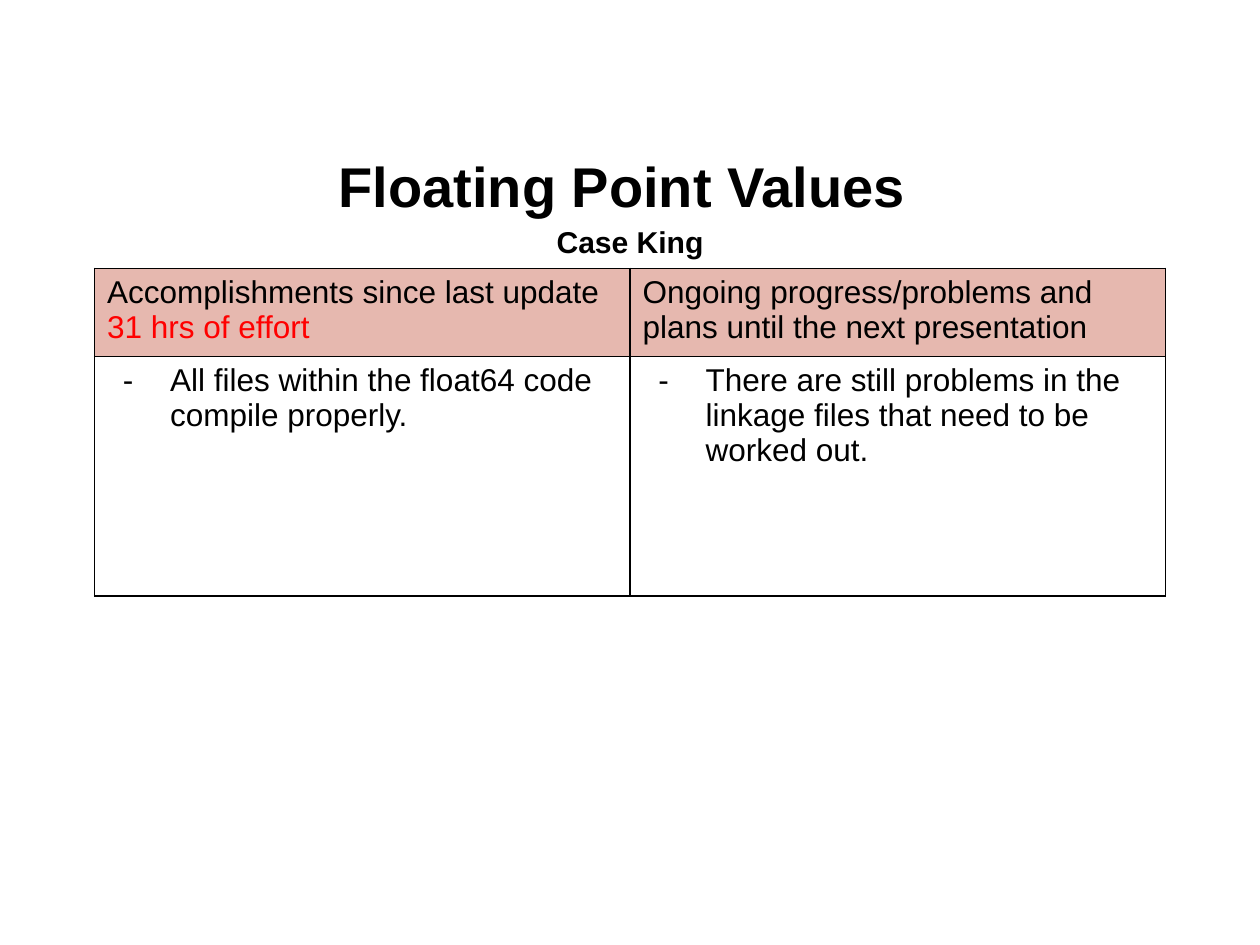
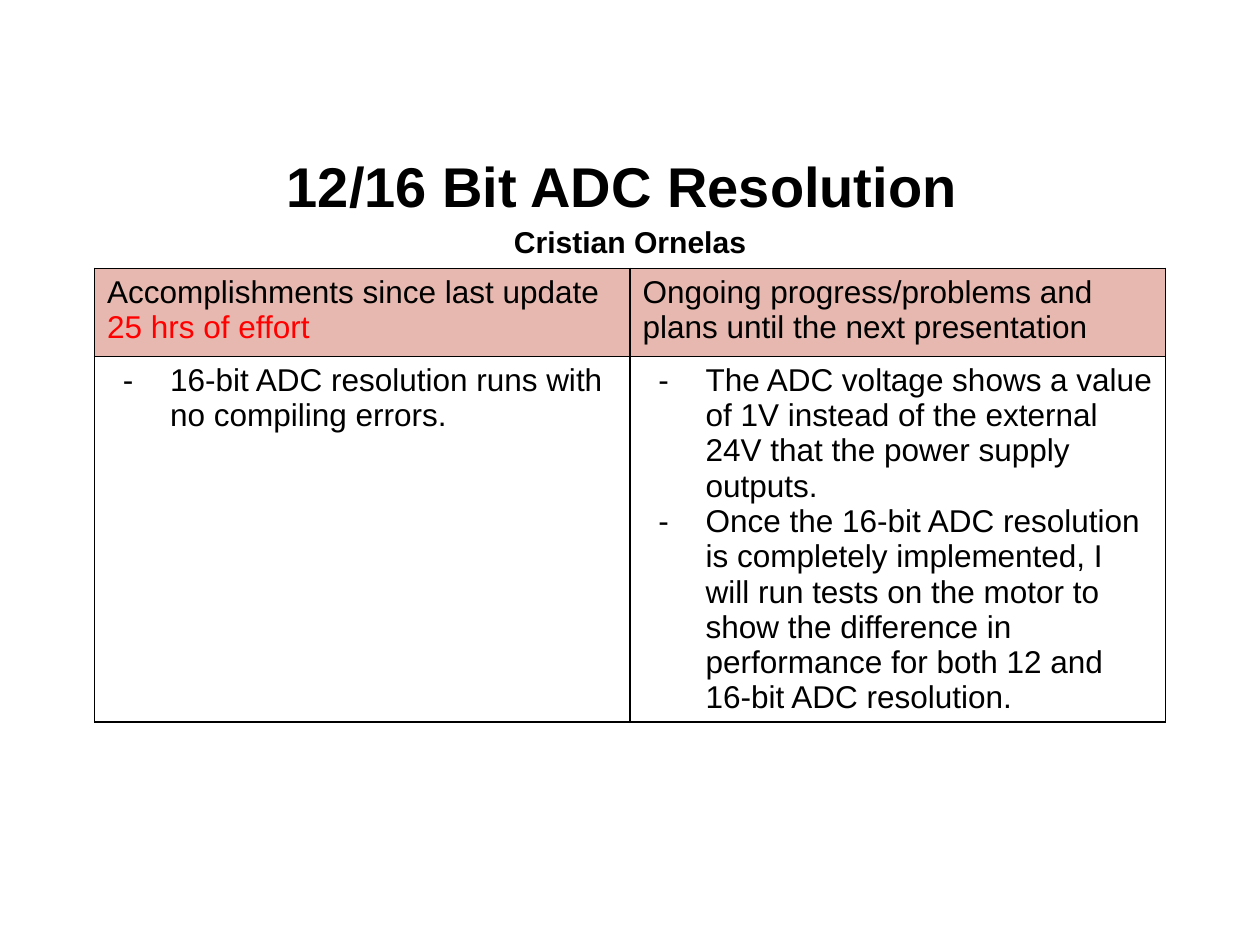
"""Build the two project status slides, each with a title and an update table."""
from dataclasses import dataclass

import pptx
import pptx.dml.color
import pptx.enum.text
import pptx.oxml
import pptx.oxml.ns
import pptx.slide
import pptx.table
import pptx.text.text
import pptx.util

Pt = pptx.util.Pt
RGBColor = pptx.dml.color.RGBColor


@dataclass(frozen=True)
class Theme:
    font: str = "Arial"
    text: str = "000000"
    effort: str = "FF0000"
    header: str = "E6B8AF"
    title_size: float = 32
    presenter_size: float = 17.2
    table_size: float = 18
    border_width: float = 1


@dataclass(frozen=True)
class Update:
    topic: str
    presenter: str
    hours: int
    accomplishments: tuple[str, ...]
    plans: tuple[str, ...]


THEME = Theme()
COLUMN_WIDTH = 306
ROW_HEIGHTS = (50.4, 136.8)
UPDATES = (
    Update(
        "Floating Point Values ", "Case King", 31,
        ("All files within the float64 code compile properly.",),
        ("There are still problems in the linkage files that need to be worked out.",),
    ),
    Update(
        "12/16 Bit ADC Resolution ", "Cristian Ornelas", 25,
        ("16-bit ADC resolution runs with no compiling errors.",),
        ("The ADC voltage shows a value of 1V instead of the external 24V that the "
         "power supply outputs.",
         "Once the 16-bit ADC resolution is completely implemented, I will run tests "
         "on the motor to show the difference in performance for both 12 and 16-bit "
         "ADC resolution."),
    ),
)


def format_font(paragraph: pptx.text.text._Paragraph, size: float, bold: bool = False) -> None:
    font = paragraph.font
    font.name, font.size, font.bold = THEME.font, Pt(size), bold
    font.color.rgb = RGBColor.from_string(THEME.text)


def add_xml(parent: pptx.oxml.xmlchemy.BaseOxmlElement, tag: str, content: str = "",
            attributes: str = "") -> None:
    namespace = pptx.oxml.ns.nsdecls("a")
    parent.append(pptx.oxml.parse_xml(f"<a:{tag} {namespace} {attributes}>{content}</a:{tag}>"))


def solid_colour(colour: str) -> str:
    return f'<a:srgbClr val="{colour}"/>'


def add_borders(cell: pptx.table._Cell) -> None:
    properties = cell._tc.get_or_add_tcPr()
    for side in ("lnL", "lnR", "lnT", "lnB"):
        add_xml(properties, side, f"<a:solidFill>{solid_colour(THEME.text)}</a:solidFill>",
                f'w="{Pt(THEME.border_width)}"')


def fill_header(cell: pptx.table._Cell, heading: str, effort: str = "") -> None:
    add_borders(cell)
    cell.fill.solid()
    cell.fill.fore_color.rgb = RGBColor.from_string(THEME.header)
    paragraph = cell.text_frame.paragraphs[0]
    format_font(paragraph, THEME.table_size)
    paragraph.add_run().text = heading
    if effort:
        run = paragraph.add_run()
        run.text = effort
        run.font.color.rgb = RGBColor.from_string(THEME.effort)


def fill_bullets(cell: pptx.table._Cell, items: tuple[str, ...]) -> None:
    add_borders(cell)
    cell.fill.background()
    cell.text_frame.text = "\n".join(items)
    for paragraph in cell.text_frame.paragraphs:
        properties = paragraph._p.get_or_add_pPr()
        properties.set("marL", str(Pt(36)))
        properties.set("indent", str(Pt(-27)))
        add_xml(properties, "buClr", solid_colour(THEME.text))
        add_xml(properties, "buFont", attributes=f'typeface="{THEME.font}"')
        add_xml(properties, "buChar", attributes='char="-"')
        format_font(paragraph, THEME.table_size)


def add_title(slide: pptx.slide.Slide, update: Update) -> None:
    title = slide.shapes.title
    title.left, title.top, title.width, title.height = Pt(36), Pt(82.8), Pt(648), Pt(63.36)
    frame = title.text_frame
    frame.text = f"{update.topic}\n{update.presenter}"
    frame.auto_size = pptx.enum.text.MSO_AUTO_SIZE.NONE
    frame.vertical_anchor = pptx.enum.text.MSO_ANCHOR.MIDDLE
    for paragraph, size in zip(frame.paragraphs, (THEME.title_size, THEME.presenter_size)):
        paragraph.alignment = pptx.enum.text.PP_ALIGN.CENTER
        paragraph.line_spacing = 1.15
        format_font(paragraph, size, bold=True)


def add_update_table(slide: pptx.slide.Slide, update: Update) -> None:
    table = slide.shapes.add_table(
        2, 2, Pt(54), Pt(153.36), Pt(2 * COLUMN_WIDTH), Pt(sum(ROW_HEIGHTS))).table
    table.first_row = table.horz_banding = False
    for row, height in zip(table.rows, ROW_HEIGHTS):
        row.height = Pt(height)
    fill_header(table.cell(0, 0), "Accomplishments since last update ",
                f"{update.hours} hrs of effort")
    fill_header(table.cell(0, 1),
                "Ongoing progress/problems and plans until the next presentation")
    for column, items in enumerate((update.accomplishments, update.plans)):
        fill_bullets(table.cell(1, column), items)


def main() -> None:
    presentation = pptx.Presentation()
    presentation.slide_width, presentation.slide_height = Pt(720), Pt(540)
    for update in UPDATES:
        slide = presentation.slides.add_slide(presentation.slide_layouts[5])
        add_title(slide, update)
        add_update_table(slide, update)
    presentation.save("out.pptx")


if __name__ == "__main__":
    main()
